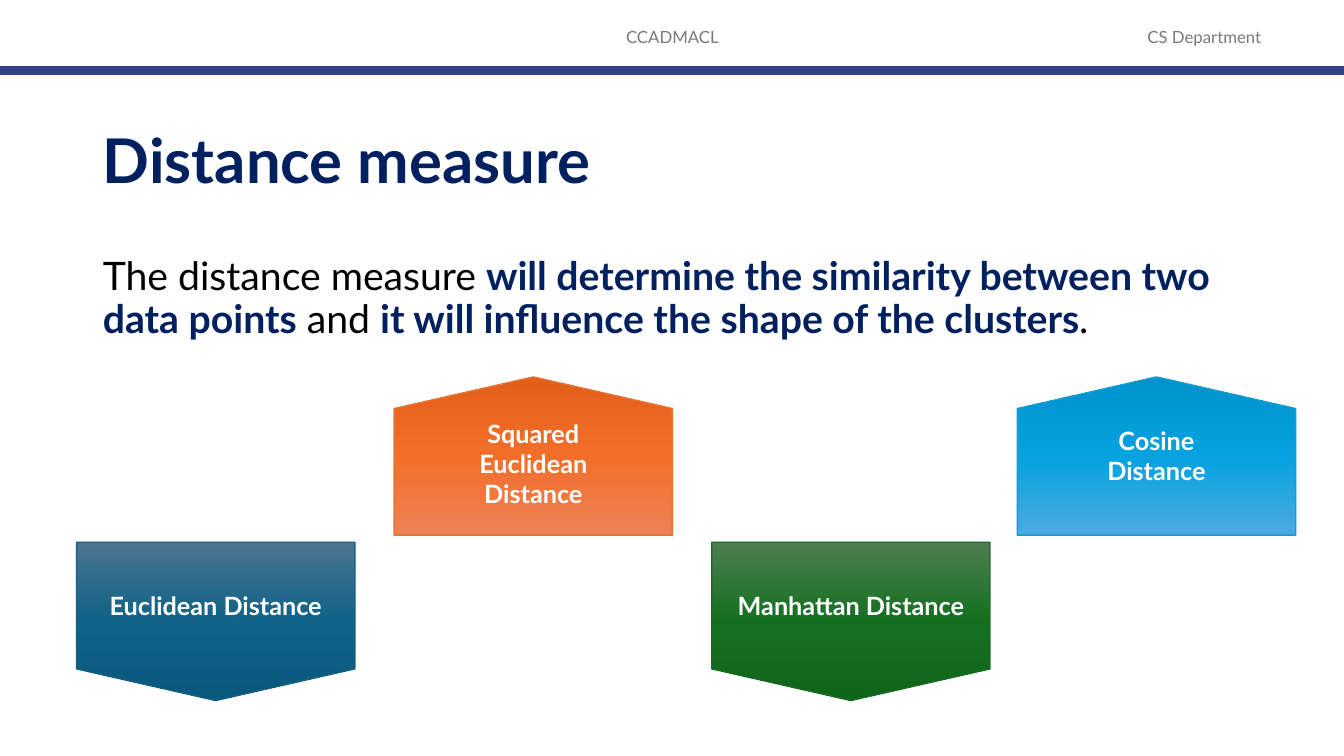
from lxml.etree import SubElement
from pptx import Presentation
from pptx.dml.color import RGBColor
from pptx.enum.shapes import MSO_CONNECTOR, MSO_SHAPE
from pptx.enum.text import MSO_ANCHOR, MSO_AUTO_SIZE, PP_ALIGN
from pptx.oxml.ns import qn
from pptx.util import Inches, Pt

FONT = "Lato"
NAVY, BLACK, WHITE, GRAY, INDIGO = "002060", "000000", "FFFFFF", "797979", "32418C"
PENTAGON_WIDTH, PENTAGON_HEIGHT = 2.76, 1.57
UPPER_ROW, LOWER_ROW = 3.74, 5.38
STATEMENT = [
    ("The distance measure ", False),
    ("will determine the similarity between two data points", True),
    (" and ", False),
    ("it will influence the shape of the clusters", True),
    (".", False),
]
LOWER_MEASURES = [
    (0.76, "Euclidean Distance", ("4C7591", "106287", "09597D"), "156082"),
    (7.06, "Manhattan Distance", ("4D7E50", "156F21", "0F661B"), "196B24"),
]
UPPER_MEASURES = [
    (3.91, ["Squared Euclidean Distance"], (0.36, 1.01),
     ("ED8257", "F26E29", "E25F1A"), "E97132"),
    (10.09, ["Cosine", "Distance"], (0.43, 0.71),
     ("4CAADF", "05A2DF", "0092CB"), "0F9ED5"),
]


def color(value):
    """Turn a hex string into a colour."""
    return RGBColor.from_string(value)


def place(shape, box):
    """Move a shape to a box of left, top, width and height in inches."""
    shape.left, shape.top, shape.width, shape.height = map(Inches, box)


def write(frame, lines, size, hue, bold=False):
    """Fill a text frame with centred lines in one style."""
    frame.word_wrap = True
    for index, line in enumerate(lines):
        para = frame.add_paragraph() if index else frame.paragraphs[0]
        para.text = line
        para.alignment = PP_ALIGN.CENTER
        para.font.name, para.font.size, para.font.bold = FONT, Pt(size), bold
        para.font.color.rgb = color(hue)


def add_header(page, width):
    """Add the course, the department and the rule below them."""
    for text, left, span in (("CCADMACL", 4.42, 4.5), ("CS Department", 10.92, 2.05)):
        label = page.shapes.add_textbox(*map(Inches, (left, 0.17, span, 0.4)))
        write(label.text_frame, [text], 12, GRAY)
        label.text_frame.vertical_anchor = MSO_ANCHOR.MIDDLE
    rule = page.shapes.add_connector(
        MSO_CONNECTOR.STRAIGHT, 0, Inches(0.7), width, Inches(0.7))
    rule.line.color.rgb = color(INDIGO)
    rule.line.width = Pt(6)
    SubElement(rule._element.spPr, qn("a:effectLst"))


def add_title(page, box, text):
    """Fill the title placeholder."""
    title = page.shapes.title
    place(title, box)
    frame = title.text_frame
    frame.text = text
    frame.auto_size = MSO_AUTO_SIZE.NONE
    frame.vertical_anchor = MSO_ANCHOR.MIDDLE
    para = frame.paragraphs[0]
    para.alignment, para.line_spacing = PP_ALIGN.LEFT, 0.9
    para.font.name, para.font.size, para.font.bold = FONT, Pt(44), True
    para.font.color.rgb = color(NAVY)


def add_statement(page, box, spans):
    """Fill the body placeholder with plain and emphasised spans."""
    body = page.placeholders[1]
    place(body, box)
    body.text_frame.auto_size = MSO_AUTO_SIZE.NONE
    para = body.text_frame.paragraphs[0]
    para.line_spacing, para.space_before = 0.9, Pt(10)
    para.font.name, para.font.size = FONT, Pt(28)
    properties = para._p.get_or_add_pPr()
    properties.set("marL", "0")
    properties.set("indent", "0")
    properties.insert_element_before(
        properties.makeelement(qn("a:buNone")), "a:tabLst", "a:defRPr", "a:extLst")
    for text, strong in spans:
        span = para.add_run()
        span.text = text
        span.font.bold = strong
        span.font.color.rgb = color(NAVY if strong else BLACK)


def add_pentagon(shapes, left, top, hues, edge):
    """Add a downward pentagon with a three-stop vertical gradient."""
    pentagon = shapes.add_shape(
        MSO_SHAPE.FLOWCHART_OFFPAGE_CONNECTOR,
        *map(Inches, (left, top, PENTAGON_WIDTH, PENTAGON_HEIGHT)))
    pentagon.shadow.inherit = False
    pentagon.fill.gradient()
    pentagon.fill.gradient_angle = 270
    stops = pentagon._element.spPr.find(".//" + qn("a:gsLst"))
    for stop in list(stops):
        stops.remove(stop)
    for position, hue in zip((0, 50000, 100000), hues):
        stop = SubElement(stops, qn("a:gs"), pos=str(position))
        SubElement(stop, qn("a:srgbClr"), val=hue)
    pentagon.line.color.rgb = color(edge)
    pentagon.line.width = Pt(1)
    return pentagon


def add_lower_measure(page, left, text, hues, edge):
    """Add a downward pentagon that holds its own label."""
    pentagon = add_pentagon(page.shapes, left, LOWER_ROW, hues, edge)
    write(pentagon.text_frame, [text], 18, WHITE, True)
    pentagon.text_frame.vertical_anchor = MSO_ANCHOR.MIDDLE


def add_upper_measure(page, left, lines, label_rows, hues, edge):
    """Group an upward pentagon with its upright label."""
    group = page.shapes.add_group_shape()
    pentagon = add_pentagon(group.shapes, left, UPPER_ROW, hues, edge)
    pentagon._element.spPr.find(qn("a:xfrm")).set("flipV", "1")
    offset, height = label_rows
    label_width = 2.23
    label_left = left + (PENTAGON_WIDTH - label_width) / 2
    label = group.shapes.add_textbox(
        *map(Inches, (label_left, UPPER_ROW + offset, label_width, height)))
    write(label.text_frame, lines, 18, WHITE, True)
    label.text_frame.auto_size = MSO_AUTO_SIZE.SHAPE_TO_FIT_TEXT


def main():
    """Build and save the slide."""
    deck = Presentation()
    deck.slide_width, deck.slide_height = Inches(13.33), Inches(7.5)
    page = deck.slides.add_slide(deck.slide_layouts[1])
    add_header(page, deck.slide_width)
    add_title(page, (0.92, 0.9, 11.5, 1.45), "Distance measure")
    add_statement(page, (0.92, 2.5, 11.5, 0.95), STATEMENT)
    for measure in LOWER_MEASURES:
        add_lower_measure(page, *measure)
    for measure in UPPER_MEASURES:
        add_upper_measure(page, *measure)
    deck.save("out.pptx")


if __name__ == "__main__":
    main()
